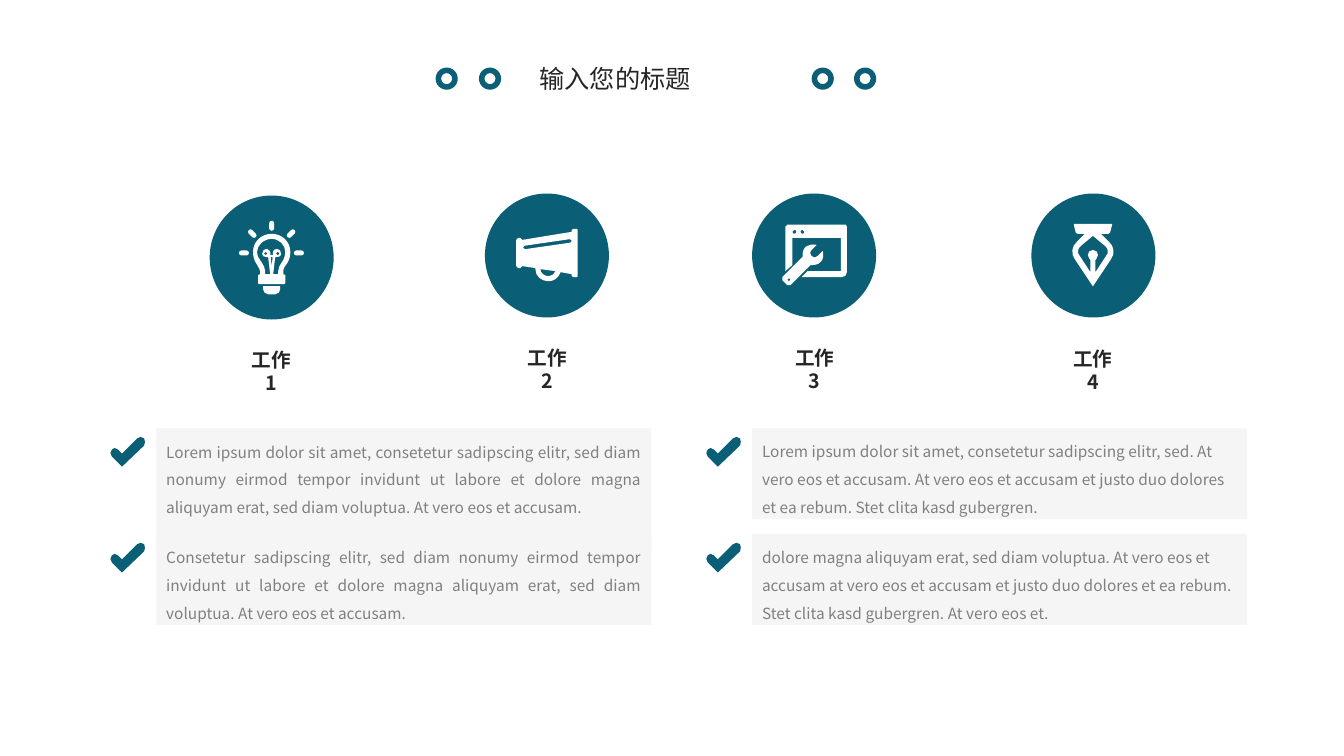
from dataclasses import dataclass
from math import atan2, cos, pi, sin

from lxml.etree import SubElement
from pptx import Presentation
from pptx.dml.color import RGBColor
from pptx.enum.shapes import MSO_SHAPE
from pptx.enum.text import MSO_ANCHOR, MSO_AUTO_SIZE, PP_ALIGN
from pptx.oxml.ns import qn
from pptx.util import Inches, Pt

TEAL = RGBColor(0x0A, 0x5E, 0x75)
WHITE = RGBColor(0xFF, 0xFF, 0xFF)
PALE = RGBColor(0xF5, 0xF5, 0xF5)
DARK = RGBColor(0x26, 0x26, 0x26)
GREY = RGBColor(0x80, 0x80, 0x80)
FONT = "Noto Sans CJK SC"

# A pair is a line to a point, six numbers are a cubic curve; unit 0.01 inch.
Curve = list[tuple[float, ...]]


@dataclass
class Job:
    name: str
    left: float
    top: float
    label: tuple[float, float]
    spot: tuple[float, float]
    icon: list[Curve]


@dataclass
class Note:
    left: float
    top: float
    height: float
    align: PP_ALIGN
    text: str


def bend(x: float, y: float, rad: float, a: float) -> tuple[float, ...]:
    """Quarter circle from angle a on."""
    b, k = a + pi / 2, 0.55
    return (x + rad * (cos(a) - k * sin(a)), y + rad * (sin(a) + k * cos(a)),
            x + rad * (cos(b) + k * sin(b)), y + rad * (sin(b) - k * cos(b)),
            x + rad * cos(b), y + rad * sin(b))


def pill(x1: float, y1: float, x2: float, y2: float, width: float) -> Curve:
    """Outline of a bar with round ends."""
    turn, rad = atan2(y2 - y1, x2 - x1), width / 2
    curve = []
    for x, y, a in ((x2, y2, turn - pi / 2), (x1, y1, turn + pi / 2)):
        curve += [(x + rad * cos(a), y + rad * sin(a)),
                  bend(x, y, rad, a), bend(x, y, rad, a + pi / 2)]
    return curve


def disc(x: float, y: float, rad: float) -> Curve:
    return [(x + rad, y)] + [bend(x, y, rad, i * pi / 2) for i in range(4)]


PEN = [
    [(38, 18), (30, 10), (37, 10), (39, 9), (41, 1), (41, 0), (3, 0), (3, 1), (5, 9),
     (7, 10), (14, 10), (6, 18), (1, 22, 0, 30, 4, 35), (22, 62), (40, 35),
     (44, 30, 43, 22, 38, 18)],
    [(35, 32), (24.5, 48), (24.5, 36), (24.5, 35, 27, 34, 27, 31), (27, 28, 25, 26, 22, 26),
     (19, 26, 17, 28, 17, 31), (17, 34, 19.5, 35, 19.5, 36), (19.5, 48), (9, 32),
     (6, 29, 7, 24, 10, 22), (22, 12), (34, 22), (37, 24, 38, 29, 35, 32)],
]
TOOL = [
    [(38, 37), (41, 34, 41, 30, 40, 26), (35, 31), (33, 33, 31, 33, 29, 31),
     (27, 29, 27, 26, 29, 25), (34, 20), (30, 19, 26, 20, 23, 22), (20, 25, 20, 29, 20, 32),
     (0, 52), (0, 55), (5, 60), (8, 60), (28, 40), (31, 40, 35, 40, 38, 37)],
    [(63, 0), (5, 0), (3, 2), (3, 46), (10, 40), (10, 13), (58, 13), (58, 46), (25, 46),
     (19, 52), (59, 52), (62, 52, 64, 50, 64, 47), (64, 2)],
    disc(6.5, 54.5, 1.5), disc(12, 7, 2), disc(20, 7, 2),
]
HORN = [
    [(60, 0), (57, 0), (55, 1), (55, 3), (6, 11), (4, 9), (2, 9), (0, 11), (0, 37), (2, 39),
     (4, 39), (6, 37), (19, 39), (19, 40), (19, 47, 25, 52, 32, 52), (37, 52, 42, 49, 44, 43),
     (55, 45), (55, 47), (57, 48), (60, 48), (61, 47), (61, 1)],
    [(32, 47), (28, 47, 24, 44, 24, 40), (39, 42), (38, 45, 35, 47, 32, 47)],
    pill(8.5, 18.5, 53.5, 12, 3.5),
]
BULB = [
    pill(2.5, 32, 7.5, 32, 5), pill(11.5, 11, 15, 14.5, 5), pill(32.5, 2.5, 32.5, 7.5, 5),
    pill(53.5, 11, 50, 14.5, 5), pill(57, 32, 62, 32, 5),
    [(24, 65), (41, 65), (41, 68), (41, 70, 39, 73, 36, 73), (29, 73), (26, 73, 24, 70, 24, 68)],
    [(14, 31), (14, 21, 22, 13, 32.5, 13), (43, 13, 51, 21, 51, 31), (51, 35, 50, 39, 48, 42),
     (44, 47, 44, 49, 44, 50), (44, 53), (46, 54), (46, 62), (45, 63), (20, 63), (19, 62),
     (19, 54), (21, 53), (21, 50), (21, 49, 20, 47, 17, 42), (15, 39, 14, 35, 14, 31)],
    [(44, 39), (40, 45, 39, 47, 39, 50), (39, 53), (34, 53), (36, 36), (38, 36),
     (40, 36, 42, 35, 42, 33), (42, 30, 40, 28, 38, 28), (34, 28, 33, 31, 34, 34), (31, 34),
     (32, 31, 30, 28, 27, 28), (25, 28, 23, 30, 23, 33), (23, 35, 25, 36, 27, 36), (29, 36),
     (31, 53), (26, 53), (26, 50), (26, 47, 25, 45, 21, 39), (19, 37, 18, 34, 18, 31),
     (18, 24, 25, 18, 32.5, 18), (40, 18, 46, 24, 46, 31), (46, 34, 45, 37, 44, 39)],
    [(31.5, 36), (33.5, 36), (32.5, 45)], disc(26.5, 32.5, 1.8), disc(38.5, 32.5, 1.8),
]
CHECK = [
    [(34, 2), (32, 0, 29, 0, 27, 2), (12, 17), (8, 13), (6, 11, 3, 11, 2, 13),
     (0, 15, 0, 18, 2, 20), (12, 30), (34, 9), (35, 7, 35, 4, 34, 2)],
]

JOBS = [
    Job("工作1", 2.08, 1.94, (2.33, 3.4), (2.37, 2.19), BULB),
    Job("工作2", 4.81, 1.92, (5.07, 3.38), (5.12, 2.27), HORN),
    Job("工作3", 7.46, 1.92, (7.72, 3.38), (7.76, 2.23), TOOL),
    Job("工作4", 10.23, 1.92, (10.48, 3.39), (10.62, 2.22), PEN),
]
NOTES = [
    Note(1.55, 4.25, 1.21, PP_ALIGN.JUSTIFY,
         "Lorem ipsum dolor sit amet, consetetur sadipscing elitr, sed diam nonumy eirmod "
         "tempor invidunt ut labore et dolore magna aliquyam erat, sed diam voluptua. "
         "At vero eos et accusam."),
    Note(1.55, 5.3, 0.9, PP_ALIGN.JUSTIFY,
         "Consetetur sadipscing elitr, sed diam nonumy eirmod tempor invidunt ut labore et "
         "dolore magna aliquyam erat, sed diam voluptua. At vero eos et accusam."),
    Note(7.46, 4.25, 0.9, PP_ALIGN.LEFT,
         "Lorem ipsum dolor sit amet, consetetur sadipscing elitr, sed. At vero eos et accusam. "
         "At vero eos et accusam et justo duo dolores et ea rebum. Stet clita kasd gubergren."),
    Note(7.46, 5.3, 0.9, PP_ALIGN.LEFT,
         "dolore magna aliquyam erat, sed diam voluptua. At vero eos et accusam at vero eos et "
         "accusam et justo duo dolores et ea rebum. Stet clita kasd gubergren. At vero eos et."),
]


def paint(shape, color: RGBColor):
    shape.shadow.inherit = False
    shape.fill.solid()
    shape.fill.fore_color.rgb = color
    shape.line.fill.background()
    return shape


def block(slide, kind: MSO_SHAPE, left: float, top: float, width: float, height: float,
          color: RGBColor):
    size = map(Inches, (left, top, width, height))
    return paint(slide.shapes.add_shape(kind, *size), color)


def knots(curve: Curve) -> list[tuple[float, float]]:
    """All points and handles of a curve, in units of 0.0001 inch."""
    return [(100 * part[i], 100 * part[i + 1])
            for part in curve for i in range(0, len(part), 2)]


def draw(slide, icon: list[Curve], left: float, top: float, color: RGBColor) -> None:
    """Draw all outlines of an icon as one shape, inner ones as holes."""
    first, *rest = map(knots, icon)
    form = slide.shapes.build_freeform(*first[0], scale=Inches(1) / 10000)
    form.add_line_segments(first[1:], close=True)
    for points in rest:
        form.move_to(*points[0])
        form.add_line_segments(points[1:], close=True)
    shape = paint(form.convert_to_shape(Inches(left), Inches(top)), color)

    # Join each three steps that belong to a curve into one cubic.
    steps = iter(list(shape._element.iter(qn("a:lnTo"))))
    for part in (part for curve in icon for part in curve[1:]):
        step = next(steps)
        if len(part) == 6:
            step.tag = qn("a:cubicBezTo")
            for _ in range(2):
                extra = next(steps)
                step.append(extra[0])
                extra.getparent().remove(extra)


def write(shape, text: str, *, size: float, color: RGBColor, align: PP_ALIGN,
          bold: bool = False, lines: float = 1.0, side: float = 0.1) -> None:
    frame = shape.text_frame
    frame.word_wrap, frame.auto_size = True, MSO_AUTO_SIZE.NONE
    frame.vertical_anchor = MSO_ANCHOR.TOP
    frame.margin_left = frame.margin_right = Inches(side)
    frame.margin_top = frame.margin_bottom = Inches(0.05)
    para = frame.paragraphs[0]
    para.alignment, para.line_spacing = align, lines
    run = para.add_run()
    run.text = text
    font = run.font
    font.size, font.bold, font.name = Pt(size), bold, FONT
    font.color.rgb = color
    SubElement(run._r.get_or_add_rPr(), qn("a:ea"), typeface=FONT)


def main() -> None:
    deck = Presentation()
    deck.slide_width, deck.slide_height = Inches(13.33), Inches(7.5)
    slide = deck.slides.add_slide(deck.slide_layouts[5])

    title = slide.shapes.title
    title.left, title.top = Inches(5.25), Inches(0.58)
    title.width, title.height = Inches(2.41), Inches(0.4)
    write(title, "输入您的标题", size=18, color=DARK, align=PP_ALIGN.JUSTIFY)
    for left in (4.32, 4.75, 8.05, 8.47):
        block(slide, MSO_SHAPE.DONUT, left, 0.67, 0.22, 0.22, TEAL)

    for job in JOBS:
        block(slide, MSO_SHAPE.OVAL, job.left, job.top, 1.23, 1.23, TEAL)
        draw(slide, job.icon, *job.spot, WHITE)
        label = slide.shapes.add_textbox(*map(Inches, (*job.label, 0.72, 0.34)))
        write(label, job.name, size=14, color=DARK, align=PP_ALIGN.CENTER, bold=True, side=0.12)

    for note in NOTES:
        panel = block(slide, MSO_SHAPE.RECTANGLE, note.left, note.top, 4.91, note.height, PALE)
        write(panel, note.text, size=11, color=GREY, align=note.align, lines=1.5)
        draw(slide, CHECK, note.left - 0.46, note.top + 0.08, TEAL)

    deck.save("out.pptx")


if __name__ == "__main__":
    main()
